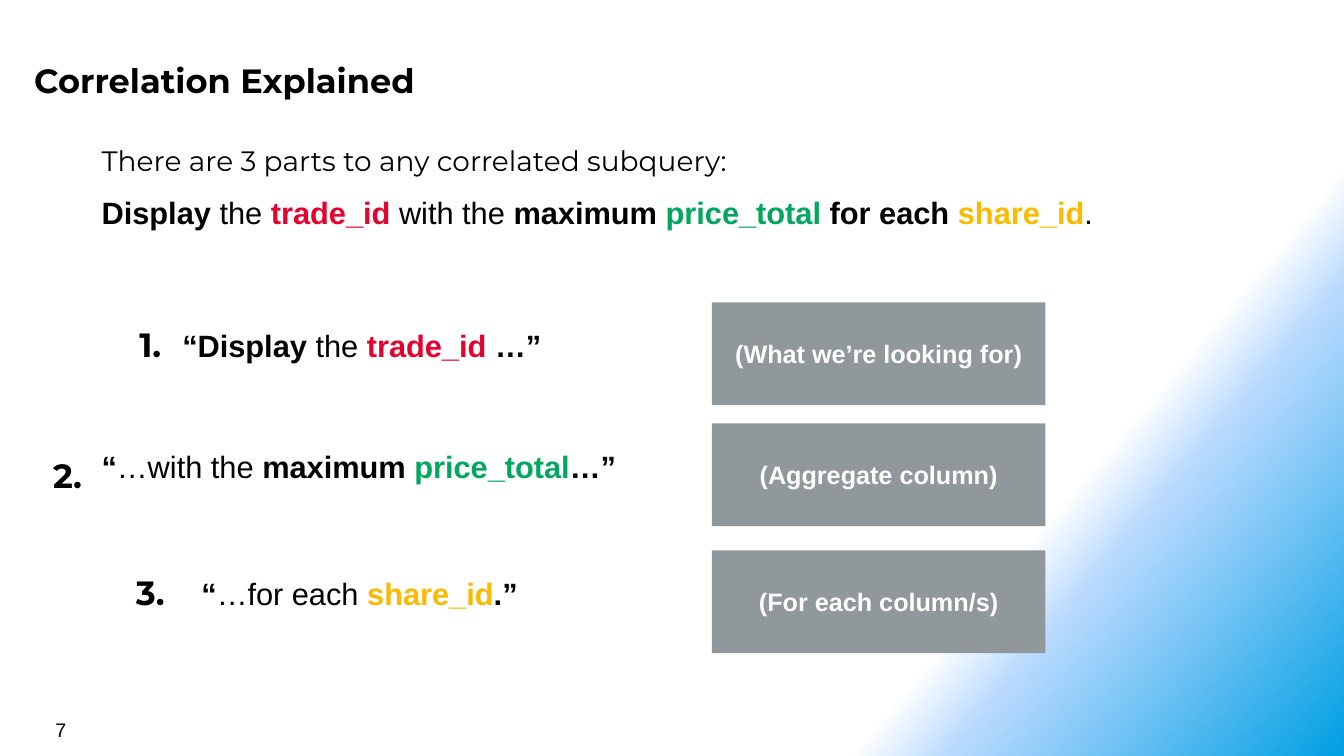
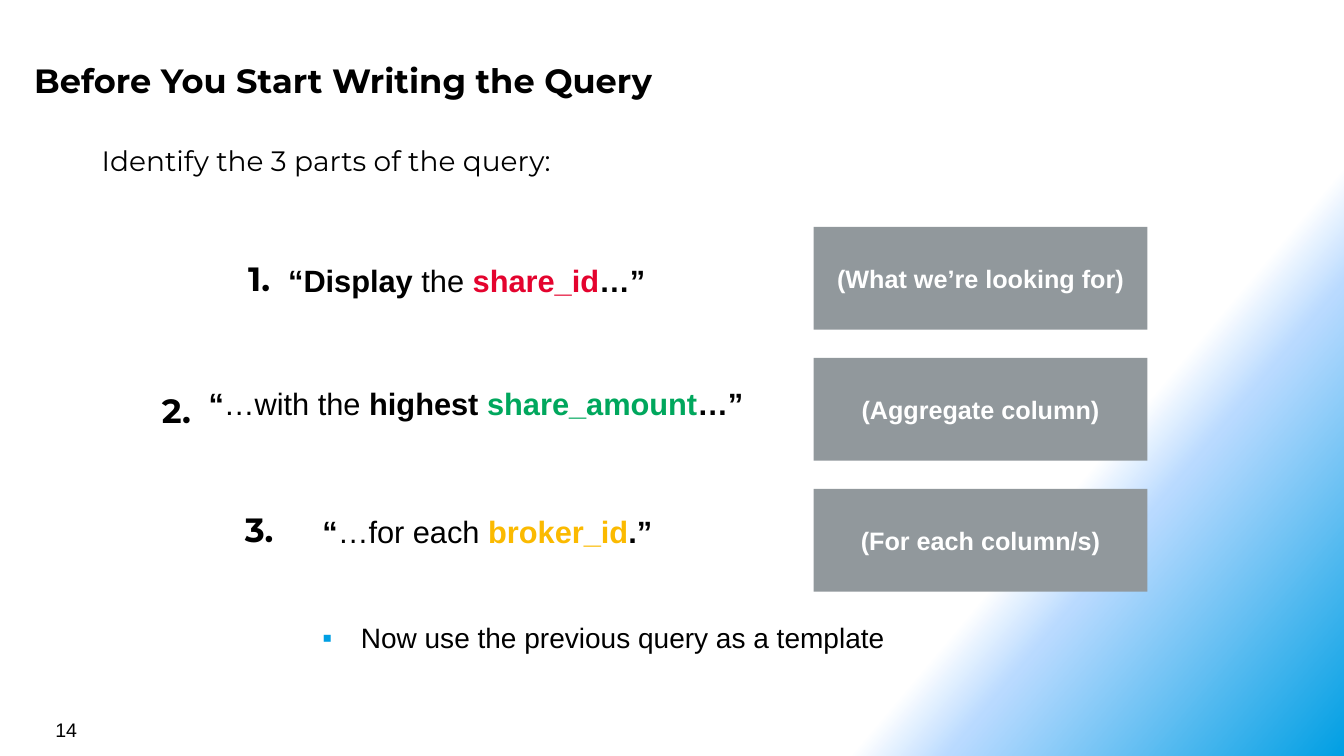
import pptx
import pptx.util
import pptx.dml.color
import pptx.enum.shapes
import pptx.enum.text
import pptx.oxml
import pptx.oxml.ns

Inches = pptx.util.Inches
Pt = pptx.util.Pt
ANCHOR = pptx.enum.text.MSO_ANCHOR
ALIGN = pptx.enum.text.PP_ALIGN

BLACK, WHITE, GREY = "000000", "FFFFFF", "91989C"
RED, GREEN, YELLOW, BLUE = "E4032E", "00A75D", "FBBA00", "009FE3"
HEADING_FONT, BODY_FONT = "Montserrat", "Arial"
BACKGROUND_STOPS = [(75, WHITE, 100), (80, "B9DAFF", 50), (100, BLUE, 100)]
BACKGROUND_ANGLE = 40

LABELS = ["(What we’re looking for)", "(Aggregate column)", "(For each column/s)"]
LABEL_SIZE = (3.31, 1.02)
NUMBER_SIZE = (0.82, 0.86)
PHRASE_HEIGHT = 0.64

SLIDES = [
    {
        "title": "Correlation Explained",
        "number": "7",
        "intro": "There are 3 parts to any correlated subquery:",
        "question": [
            ("Display", True, BLACK), (" the ", False, BLACK),
            ("trade_id", True, RED), (" with the ", False, BLACK),
            ("maximum ", True, BLACK), ("price_total", True, GREEN),
            (" for each ", True, BLACK), ("share_id", True, YELLOW),
            (".", False, BLACK),
        ],
        "label_left": 7.06,
        "label_tops": [3, 4.2, 5.46],
        "number_places": [(1.08, 2.98), (0.26, 4.28), (1.08, 5.44)],
        "phrase_places": [(1.71, 3.19, 4.17), (0.91, 4.39, 5.47), (1.9, 5.65, 3.5)],
        "phrases": [
            [("“Display", True, BLACK), (" the ", False, BLACK),
             ("trade_id ", True, RED), ("…”", True, BLACK)],
            [("“", True, BLACK), ("…with the ", False, BLACK),
             ("maximum ", True, BLACK), ("price_total", True, GREEN),
             ("…”", True, BLACK)],
            [("“", True, BLACK), ("…for each ", False, BLACK),
             ("share_id", True, YELLOW), (".”", True, BLACK)],
        ],
    },
    {
        "title": "Before You Start Writing the Query",
        "number": "14",
        "intro": "Identify the 3 parts of the query:",
        "label_left": 8.07,
        "label_tops": [2.25, 3.55, 4.85],
        "number_places": [(2.16, 2.33), (1.34, 3.64), (2.16, 4.82)],
        "phrase_places": [(2.76, 2.55, 4.17), (1.97, 3.77, 5.75), (3.1, 5.04, 3.5)],
        "phrases": [
            [("“Display", True, BLACK), (" the ", False, BLACK),
             ("share_id", True, RED), ("…”", True, BLACK)],
            [("“", True, BLACK), ("…with the ", False, BLACK),
             ("highest ", True, BLACK), ("share_amount", True, GREEN),
             ("…”", True, BLACK)],
            [("“", True, BLACK), ("…for each ", False, BLACK),
             ("broker_id", True, YELLOW), (".”", True, BLACK)],
        ],
        "bullet": "Now use the previous query as a template",
    },
]


def rgb(value):
    return pptx.dml.color.RGBColor.from_string(value)


def add_xml(parent, xml):
    head, rest = xml.split(" ", 1)
    namespace = pptx.oxml.ns.nsdecls("a")
    parent.append(pptx.oxml.parse_xml(f"{head} {namespace} {rest}"))


def set_background(master):
    fill = master.background.fill
    fill.gradient()
    fill.gradient_angle = 360 - BACKGROUND_ANGLE
    stops = master.element.find(".//" + pptx.oxml.ns.qn("a:gsLst"))
    for stop in list(stops):
        stops.remove(stop)
    for position, colour, opacity in BACKGROUND_STOPS:
        add_xml(stops, f'<a:gs pos="{position * 1000}"><a:srgbClr val="{colour}">'
                       f'<a:alpha val="{opacity * 1000}"/></a:srgbClr></a:gs>')


def style(font, size, name, colour=BLACK, bold=False):
    font.size = Pt(size)
    font.name = name
    font.bold = bold
    font.color.rgb = rgb(colour)


def write(para, text, size, name, colour=BLACK, bold=False):
    para.text = text
    style(para.runs[0].font, size, name, colour, bold)


def write_spans(para, spans):
    para.space_after = Pt(12)
    for text, bold, colour in spans:
        span = para.add_run()
        span.text = text
        style(span.font, 22, BODY_FONT, colour, bold)


def add_box(page, left, top, width, height):
    box = page.shapes.add_textbox(*map(Inches, (left, top, width, height)))
    box.text_frame.word_wrap = True
    return box.text_frame


def add_title(page, text):
    frame = add_box(page, 0.26, 0.51, 12.26, 0.55)
    frame.margin_left = frame.margin_right = Inches(0.08)
    frame.margin_top = frame.margin_bottom = Inches(0.08)
    write(frame.paragraphs[0], text, 24, HEADING_FONT, bold=True)


def add_intro(page, text, question):
    frame = add_box(page, 0.91, 1.37, 11.51, 1.28 if question else 0.64)
    para = frame.paragraphs[0]
    para.space_after = Pt(12)
    write(para, text, 20, HEADING_FONT)
    if question:
        write_spans(frame.add_paragraph(), question)


def add_label(page, text, left, top):
    shape = page.shapes.add_shape(
        pptx.enum.shapes.MSO_SHAPE.RECTANGLE, Inches(left), Inches(top),
        *map(Inches, LABEL_SIZE))
    shape.shadow.inherit = False
    shape.fill.solid()
    shape.fill.fore_color.rgb = rgb(GREY)
    shape.line.fill.background()
    shape.text_frame.vertical_anchor = ANCHOR.MIDDLE
    para = shape.text_frame.paragraphs[0]
    para.alignment = ALIGN.CENTER
    write(para, text, 18, BODY_FONT, WHITE, True)


def add_number(page, text, left, top):
    frame = add_box(page, left, top, *NUMBER_SIZE)
    frame.vertical_anchor = ANCHOR.MIDDLE
    para = frame.paragraphs[0]
    para.alignment = ALIGN.CENTER
    write(para, text, 24, HEADING_FONT, bold=True)


def add_bullet(page, text):
    frame = add_box(page, 3.1, 6.11, 6.79, 0.44)
    frame.auto_size = pptx.enum.text.MSO_AUTO_SIZE.SHAPE_TO_FIT_TEXT
    para = frame.paragraphs[0]
    properties = para._p.get_or_add_pPr()
    properties.set("marL", str(Inches(0.38)))
    properties.set("indent", str(-Inches(0.38)))
    add_xml(properties, f'<a:buClr ><a:srgbClr val="{BLUE}"/></a:buClr>')
    add_xml(properties, f'<a:buFont typeface="{BODY_FONT}"/>')
    add_xml(properties, '<a:buChar char="▪"/>')
    para.space_after = Pt(12)
    write(para, text, 20, BODY_FONT)


def build_slide(deck, content):
    page = deck.slides.add_slide(deck.slide_layouts[6])
    add_title(page, content["title"])
    add_intro(page, content["intro"], content.get("question"))
    for label, top in zip(LABELS, content["label_tops"]):
        add_label(page, label, content["label_left"], top)
    for phrase, place in zip(content["phrases"], content["phrase_places"]):
        frame = add_box(page, *place, PHRASE_HEIGHT)
        write_spans(frame.paragraphs[0], phrase)
    for index, place in enumerate(content["number_places"], 1):
        add_number(page, f"{index}.", *place)
    if "bullet" in content:
        add_bullet(page, content["bullet"])
    footer = add_box(page, 0.45, 7.07, 3.11, 0.33)
    write(footer.paragraphs[0], content["number"], 14, BODY_FONT)


def main():
    deck = pptx.Presentation()
    deck.slide_width = Inches(13.33)
    deck.slide_height = Inches(7.5)
    set_background(deck.slide_master)
    for content in SLIDES:
        build_slide(deck, content)
    deck.save("out.pptx")


if __name__ == "__main__":
    main()
